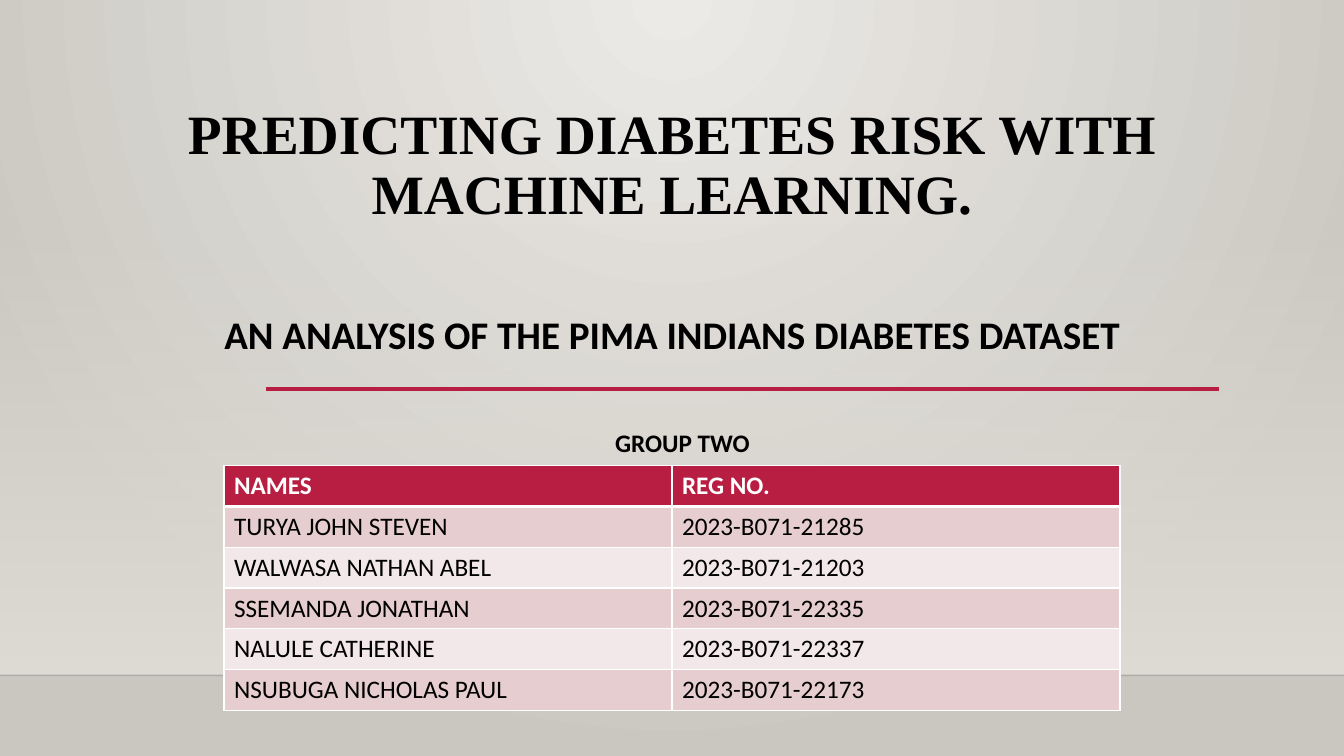
from lxml.etree import SubElement as Sub
from pptx import Presentation
from pptx.dml.color import RGBColor as Rgb
from pptx.enum.shapes import MSO_CONNECTOR as Conn, MSO_SHAPE as Shape
from pptx.enum.text import MSO_ANCHOR as Anchor, PP_ALIGN as Align
from pptx.oxml import parse_xml
from pptx.oxml.ns import nsdecls, qn
from pptx.util import Inches, Pt

WIDE, HIGH = 13.33, 7.5
HUES = {"ink": "000000", "rose": "B71E42", "white": "FFFFFF",
        "odd": "E6CDCF", "even": "F3E8E9", "glow": "ECEAE7",
        "edge": "CAC7C1", "wall": "DFDBD5"}
FONTS = {
    "title": {"name": "Times New Roman", "size": Pt(39.6), "bold": True},
    "topic": {"name": "Calibri", "size": Pt(27.9), "bold": True},
    "head": {"name": "Calibri", "size": Pt(18), "bold": True},
    "cell": {"name": "Calibri", "size": Pt(18), "bold": False},
}
TEAM = [
    ("NAMES", "REG NO."),
    ("TURYA JOHN STEVEN", "2023-B071-21285"),
    ("WALWASA NATHAN ABEL", "2023-B071-21203"),
    ("SSEMANDA JONATHAN", "2023-B071-22335"),
    ("NALULE CATHERINE", "2023-B071-22337"),
    ("NSUBUGA NICHOLAS PAUL", "2023-B071-22173"),
]


def assign(item, values):
    for key, value in values.items():
        setattr(item, key, value)


def write(para, text, font, hue="ink", **form):
    run = para.add_run()
    run.text = text
    assign(run.font, FONTS[font])
    run.font.color.rgb = Rgb.from_string(HUES[hue])
    assign(para, form)


def frame(shape, box, **form):
    assign(shape, dict(zip(("left", "top", "width", "height"), map(Inches, box))))
    text = shape.text_frame
    assign(text, {"word_wrap": True, **form})
    return text


def blend(first, last, alpha, shade):
    """Gradient fill from one hue to another, the first at the given alpha."""
    return parse_xml(
        f'<a:gradFill {nsdecls("a")} rotWithShape="1"><a:gsLst>'
        f'<a:gs pos="0"><a:srgbClr val="{HUES[first]}"><a:alpha val="{alpha}"/></a:srgbClr></a:gs>'
        f'<a:gs pos="100000"><a:srgbClr val="{HUES[last]}"/></a:gs>'
        f'</a:gsLst>{shade}</a:gradFill>')


def rule(slide, left, right, y, hue, width, alpha=100):
    line = slide.shapes.add_connector(
        Conn.STRAIGHT, Inches(left), Inches(y), Inches(right), Inches(y))
    line.line.color.rgb = Rgb.from_string(HUES[hue])
    line.line.width = Pt(width)
    props = line._element.spPr
    Sub(props.find(".//" + qn("a:srgbClr")), qn("a:alpha"), val=str(alpha * 1000))
    Sub(props, qn("a:effectLst"))


def scene(slide, box):
    # Round glow from the top centre
    fill = slide.background.fill
    fill.solid()
    old = slide._element.find(".//" + qn("p:bgPr"))[0]
    old.getparent().replace(old, blend(
        "glow", "edge", 100000,
        '<a:path path="circle"><a:fillToRect l="43000" r="43000" b="100000"/></a:path>'))
    # Wall fading in down to the floor line
    left, top, width, height = box
    wall = slide.shapes.add_shape(Shape.RECTANGLE, *map(Inches, box))
    wall.shadow.inherit = False
    wall.line.fill.background()
    wall.fill.solid()
    old = wall._element.spPr.find(qn("a:solidFill"))
    old.getparent().replace(old, blend("wall", "wall", 0, '<a:lin ang="5400000" scaled="0"/>'))
    rule(slide, left, left + width, top + height, "ink", 1, 20)


def heading(slide, box):
    title = slide.shapes.title
    slide.shapes._spTree.append(title._element)  # in front of the wall
    text = frame(title, box, vertical_anchor=Anchor.BOTTOM, margin_bottom=0)
    form = {"alignment": Align.CENTER, "line_spacing": 0.9}
    write(text.paragraphs[0], "PREDICTING DIABETES RISK WITH MACHINE LEARNING.",
          "title", **form)
    write(text.add_paragraph(), "AN ANALYSIS OF THE PIMA INDIANS DIABETES DATASET",
          "topic", space_before=Pt(64), **form)


def group(slide, box):
    label = slide.shapes.add_textbox(0, 0, 0, 0)
    text = frame(label, box, margin_top=Inches(0.1))
    write(text.paragraphs[0], "GROUP TWO", "head",
          alignment=Align.CENTER, line_spacing=1.2)


def border(cell, widths):
    props = cell._tc.get_or_add_tcPr()
    for spot, (side, width) in enumerate(widths.items()):
        props.insert(spot, parse_xml(
            f'<a:{side} {nsdecls("a")} w="{Pt(width)}"><a:solidFill>'
            f'<a:srgbClr val="{HUES["white"]}"/></a:solidFill></a:{side}>'))


def roster(slide, box):
    table = slide.shapes.add_table(len(TEAM), len(TEAM[0]), *map(Inches, box)).table
    for r, row in enumerate(TEAM):
        table.rows[r].height = Inches(box[3] / len(TEAM))
        back = "rose" if r == 0 else "odd" if r % 2 else "even"
        font, ink = ("cell", "ink") if r else ("head", "white")
        for c, words in enumerate(row):
            cell = table.cell(r, c)
            cell.fill.solid()
            cell.fill.fore_color.rgb = Rgb.from_string(HUES[back])
            write(cell.text_frame.paragraphs[0], words, font, ink)
            border(cell, {"lnL": 1, "lnR": 1, "lnT": 3 if r == 1 else 1,
                          "lnB": 1 if r else 3})


def main():
    deck = Presentation()
    assign(deck, {"slide_width": Inches(WIDE), "slide_height": Inches(HIGH)})
    slide = deck.slides.add_slide(deck.slide_layouts[5])
    scene(slide, (0, 2.21, WIDE, 4.49))
    rule(slide, 2.64, 12.09, 3.86, "rose", 2.5)
    heading(slide, (WIDE / 8, 1.23, WIDE * 3 / 4, 2.32))
    group(slide, (1.77, 4.08, WIDE * 3 / 4, 0.5))
    roster(slide, (WIDE / 6, 4.62, WIDE * 2 / 3, 2.43))
    deck.save("out.pptx")


if __name__ == "__main__":
    main()
